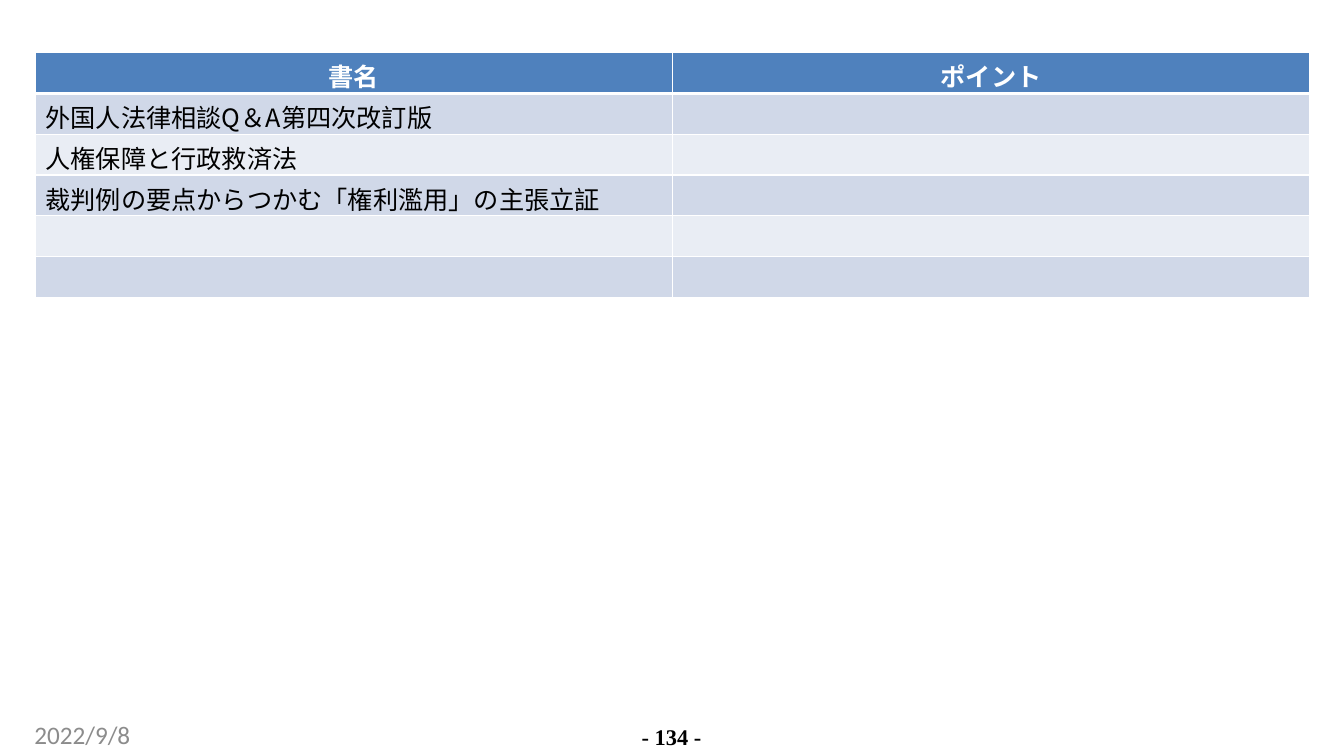
from lxml.etree import SubElement
from pptx import Presentation
from pptx.dml.color import RGBColor
from pptx.enum.text import PP_ALIGN
from pptx.oxml.ns import qn
from pptx.util import Inches, Pt

WIDE, HIGH = Inches(13.33), Inches(7.5)
SANS = "Noto Sans CJK JP"
HEAD = {"name": "Calibri", "size": Pt(18), "bold": True}
BODY = {"name": SANS, "size": Pt(18), "bold": False}
DATE = {"name": "Calibri", "size": Pt(18), "bold": False}
PAGE = {"name": "Times New Roman", "size": Pt(16), "bold": True}
BOOKS = [
    ("書名", "ポイント"),
    ("外国人法律相談Q＆A第四次改訂版", ""),
    ("人権保障と行政救済法", ""),
    ("裁判例の要点からつかむ「権利濫用」の主張立証", ""),
    ("", ""),
    ("", ""),
]


def paint(part, tint):
    part.rgb = RGBColor.from_string(tint)


def place(left, top, width, height):
    return [int(share * side / 100) for share, side in
            zip((left, top, width, height), (WIDE, HIGH, WIDE, HIGH))]


def write(para, text, form, tint, align):
    para.alignment = align
    if not text:
        para.font.size = form["size"]
        return
    run = para.add_run()
    run.text = text
    for name, value in form.items():
        setattr(run.font, name, value)
    paint(run.font.color, tint)
    SubElement(run.font._element, qn("a:ea"), typeface=SANS)


def add_note(slide, area, text, form, tint, align, space=None):
    frame = slide.shapes.add_textbox(*place(*area)).text_frame
    for side in ("left", "top", "right", "bottom"):
        setattr(frame, f"margin_{side}", 0)
    frame.word_wrap = True
    para = frame.paragraphs[0]
    para.line_spacing = space
    write(para, text, form, tint, align)


def edge(cell, sides):
    props = cell._tc.get_or_add_tcPr()
    for side, width in sides.items():
        line = SubElement(props, qn(f"a:ln{side}"), w=str(Pt(width)))
        fill = SubElement(line, qn("a:solidFill"))
        SubElement(fill, qn("a:srgbClr"), val="FFFFFF")


def add_grid(slide, area, rows):
    table = slide.shapes.add_table(len(rows), len(rows[0]), *place(*area)).table
    for i, row in enumerate(rows):
        for j, text in enumerate(row):
            cell = table.cell(i, j)
            edge(cell, {"L": 1, "R": 1, "T": 3 if i == 1 else 1,
                        "B": 1 if i else 3})
            cell.fill.solid()
            band = ("E9EDF4", "D0D8E8")[i % 2] if i else "4F81BD"
            paint(cell.fill.fore_color, band)
            form, tint, align = ((BODY, "000000", PP_ALIGN.LEFT) if i
                                 else (HEAD, "FFFFFF", PP_ALIGN.CENTER))
            write(cell.text_frame.paragraphs[0], text, form, tint, align)


def main():
    deck = Presentation()
    deck.slide_width, deck.slide_height = WIDE, HIGH
    slide = deck.slides.add_slide(deck.slide_layouts[6])
    add_note(slide, (2.55, 95.2, 23, 4), "2022/9/8", DATE, "8C8C8C",
             PP_ALIGN.LEFT)
    add_note(slide, (46.74, 95.87, 6.45, 3.33), "- 134 -", PAGE, "000000",
             PP_ALIGN.CENTER, Pt(18.4))
    add_grid(slide, (2.63, 6.97, 94.82, 32.4), BOOKS)
    deck.save("out.pptx")


if __name__ == "__main__":
    main()
